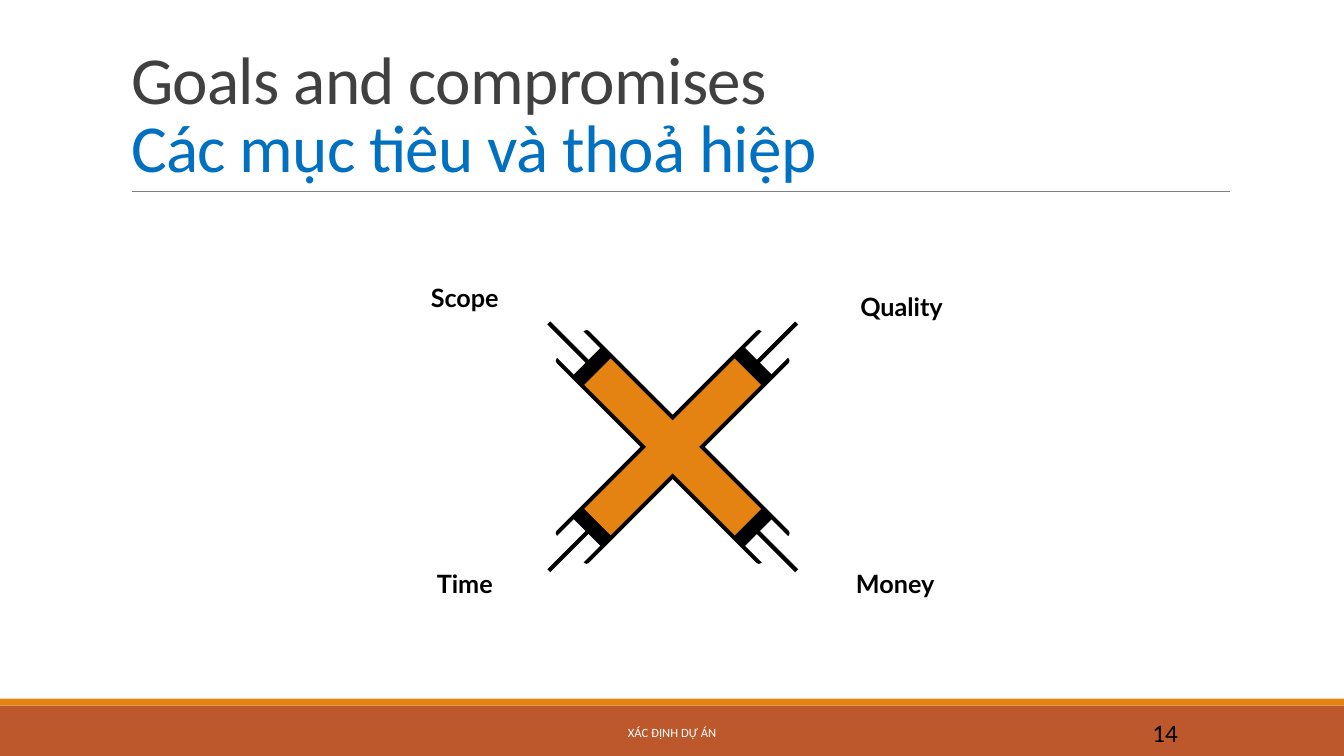
from lxml import etree
from pptx import Presentation
from pptx.dml.color import RGBColor
from pptx.enum import shapes, text
from pptx.oxml.ns import qn
from pptx.util import Pt

WHITE = RGBColor(0xFF, 0xFF, 0xFF)
BLACK = RGBColor(0, 0, 0)
ORANGE = RGBColor(0xE4, 0x83, 0x12)
RUST = RGBColor(0xBD, 0x58, 0x2C)
GREY = RGBColor(0x80, 0x80, 0x80)
DARK = RGBColor(0x40, 0x40, 0x40)
BLUE = RGBColor(0x00, 0x70, 0xC0)


def add_rect(s, x, y, w, h, fill=None, line=None, angle=0):
    sp = s.shapes.add_shape(shapes.MSO_SHAPE.RECTANGLE, Pt(x), Pt(y), Pt(w), Pt(h))
    sp.shadow.inherit = False
    sp.rotation = angle
    if fill is None:
        sp.fill.background()
    else:
        sp.fill.solid()
        sp.fill.fore_color.rgb = fill
    if line is None:
        sp.line.fill.background()
    else:
        sp.line.color.rgb = line
        sp.line.width = Pt(4.5)
    return sp


def add_line(s, x1, y1, x2, y2, color, width):
    cn = s.shapes.add_connector(
        shapes.MSO_CONNECTOR.STRAIGHT, Pt(x1), Pt(y1), Pt(x2), Pt(y2))
    cn.line.color.rgb = color
    cn.line.width = Pt(width)
    etree.SubElement(cn._element.spPr, qn("a:effectLst"))


def style_run(r, name, size, color, bold=False):
    r.font.name = name
    r.font.size = Pt(size)
    r.font.color.rgb = color
    r.font.bold = bold


def add_text(s, x, y, w, h, wording, name, size, color, bold=False, wrap=True,
             align=text.PP_ALIGN.CENTER):
    sp = s.shapes.add_textbox(Pt(x), Pt(y), Pt(w), Pt(h))
    tf = sp.text_frame
    tf.word_wrap = wrap
    tf.vertical_anchor = text.MSO_ANCHOR.MIDDLE
    tf.text = wording
    p = tf.paragraphs[0]
    p.alignment = align
    style_run(p.runs[0], name, size, color, bold)
    return sp


def add_title(s, x, y, w, h):
    sp = s.shapes.title
    sp.left, sp.top, sp.width, sp.height = Pt(x), Pt(y), Pt(w), Pt(h)
    tf = sp.text_frame
    tf.text = "Goals and compromises \vCác mục tiêu và thoả hiệp"
    tf.word_wrap = True
    tf.auto_size = text.MSO_AUTO_SIZE.NONE
    tf.vertical_anchor = text.MSO_ANCHOR.BOTTOM
    p = tf.paragraphs[0]
    p.alignment = text.PP_ALIGN.LEFT
    p.line_spacing = 0.85
    for r, color in zip(p.runs, (DARK, BLUE)):
        style_run(r, "Calibri", 48, color)
        r.font._element.set("spc", "-50")
    add_line(s, x + 8, y + h, x + w, y + h, GREY, 0.5)


def add_footer(s, x, y, w, h):
    add_rect(s, x, y + 5, w, h - 5, RUST)
    add_rect(s, x, y, w, 5, ORANGE)
    add_text(s, x + 290, y + 9.5, 380, 28.8, "XÁC ĐỊNH DỰ ÁN", "Calibri", 9, WHITE)
    number = add_text(s, x + 780, y + 9.5, 103, 28.8, "14", "Calibri", 18, BLACK,
                      align=text.PP_ALIGN.LEFT)
    number.text_frame.margin_left = Pt(43.2)


def add_cross(s, x, y, w, h):
    cx, cy = x + w / 2, y + h / 2

    def add_bar(length, thick, angle, fill=None, line=None):
        add_rect(s, cx - length / 2, cy - thick / 2, length, thick, fill, line, angle)

    arms = ((315, 1), (225, -1))
    for angle, side in arms:
        add_bar(202, 28, angle, line=BLACK)
        add_bar(210, 26.6, angle, WHITE)
        add_bar(173, 27.4, angle, BLACK)
        dx, dy = side * w / 2, h / 2
        add_line(s, cx - dx, cy + dy, cx + dx, cy - dy, BLACK, 3)
    for angle, side in arms:
        add_bar(152, 26.6, angle, ORANGE)


def add_goals(s, x, y, w, h):
    add_cross(s, x + 94.5, y + 32.7, 177, 177)
    for wording, dx, dy, width in (
        ("Scope", 0, 0, 69),
        ("Time", 5, h - 29, 59),
        ("Quality", w - 80, 6, 80),
        ("Money", w - 82, h - 29, 75),
    ):
        add_text(s, x + dx, y + dy, width, 29, wording, "Lato", 18, BLACK,
                 bold=True, wrap=False)


def main():
    prs = Presentation()
    prs.slide_width, prs.slide_height = Pt(960), Pt(540)
    s = prs.slides.add_slide(prs.slide_layouts[5])
    add_footer(s, 0, 499, 960, 41)
    add_title(s, 86.4, 22.3, 792, 114.5)
    add_goals(s, 297.5, 198, 386.5, 233)
    prs.save("out.pptx")


if __name__ == "__main__":
    main()
